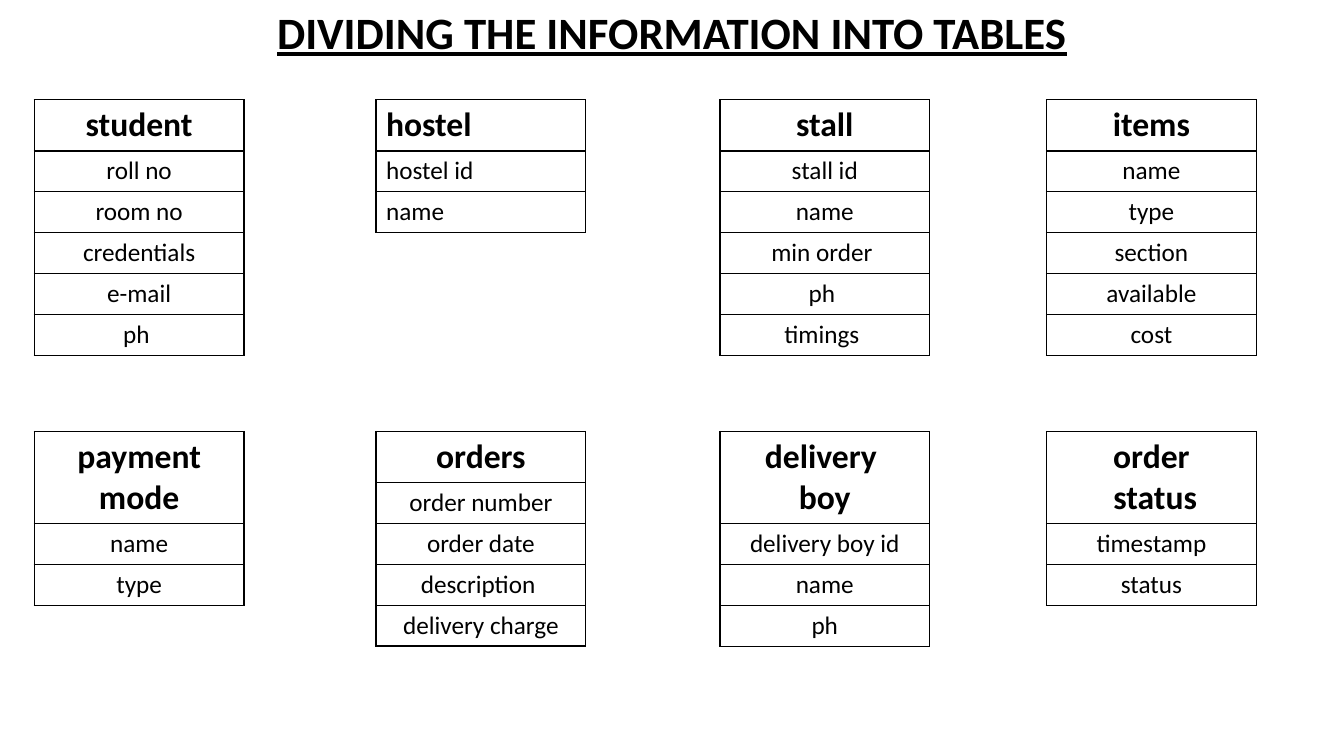
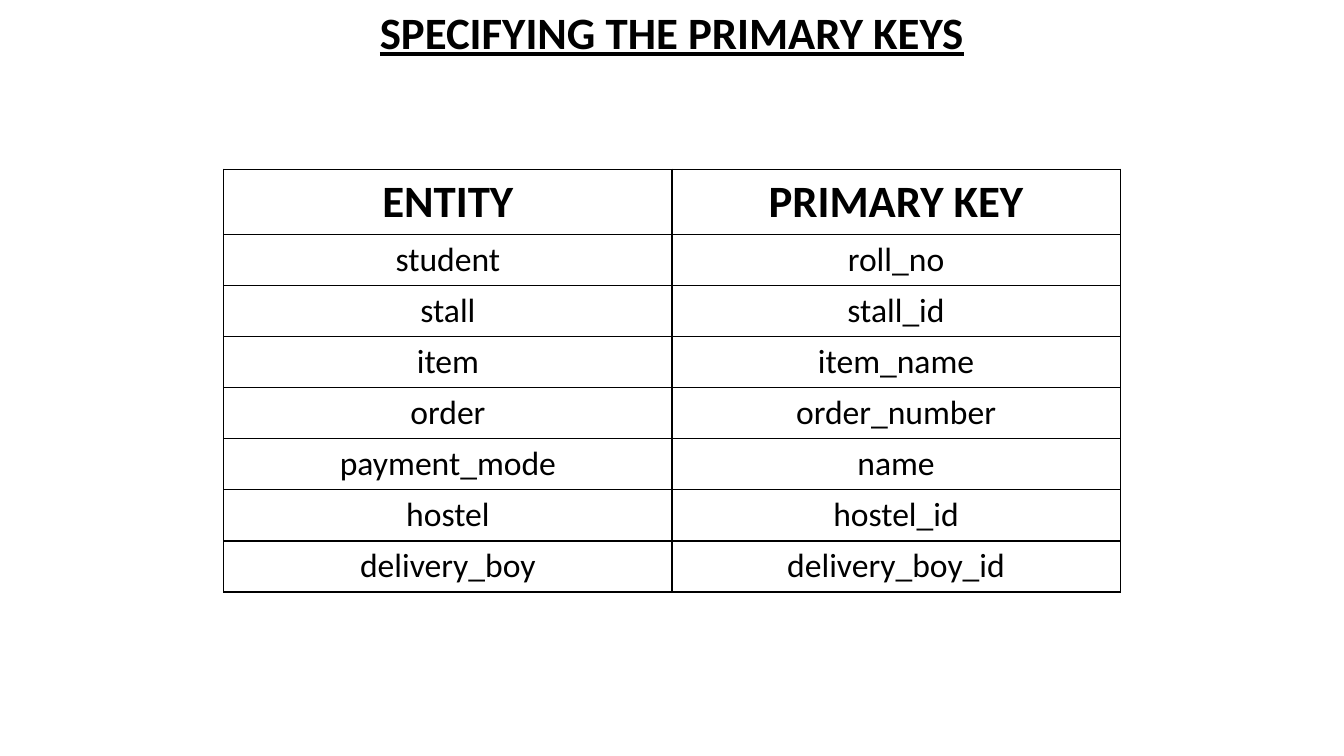
import pptx
import pptx.util
import pptx.dml.color
import pptx.enum.text
import pptx.oxml
import pptx.oxml.ns

Inches = pptx.util.Inches
ALIGN = pptx.enum.text.PP_ALIGN
FONT = "Calibri"
BLACK = "000000"
PAGE_WIDTH, PAGE_HEIGHT = 13.33, 7.5
TITLE_HEIGHT = 0.64
CARD_WIDTH = 2.08
CARD_LEFTS = (0.34, 3.73, 7.14, 10.38)
CARD_TOPS = (0.99, 4.28)

CARD_ROWS = (
    (
        ("student", "roll no", "room no", "credentials", "e-mail", "ph "),
        ("hostel", "hostel id", "name"),
        ("stall", "stall id", "name", "min order ", "ph ", "timings "),
        ("items", "name", "type", "section", "available", "cost"),
    ),
    (
        ("payment mode", "name", "type"),
        ("orders", "order number", "order date", "description ", "delivery charge"),
        ("delivery \nboy", "delivery boy id", "name", "ph"),
        ("order\n status", "timestamp", "status"),
    ),
)
LEFT_ALIGNED = {"hostel"}
TWO_LINE_HEADERS = {"payment mode", "delivery \nboy", "order\n status"}

KEY_ROWS = (
    ("ENTITY", "PRIMARY KEY"),
    ("student", "roll_no"),
    ("stall", "stall_id"),
    ("item", "item_name"),
    ("order", "order_number"),
    ("payment_mode", "name"),
    ("hostel", "hostel_id"),
    ("delivery_boy", "delivery_boy_id"),
)


def colour(value):
    return pptx.dml.color.RGBColor.from_string(value)


def write_text(frame, text, size, bold=False, underline=False, align=ALIGN.CENTER):
    for index, line in enumerate(text.split("\n")):
        para = frame.add_paragraph() if index else frame.paragraphs[0]
        para.alignment = align
        span = para.add_run()
        span.text = line
        span.font.name = FONT
        span.font.size = pptx.util.Pt(size)
        span.font.bold = bold
        span.font.underline = underline
        span.font.color.rgb = colour(BLACK)


def add_borders(cell):
    properties = cell._tc.get_or_add_tcPr()
    for index, side in enumerate(("lnL", "lnR", "lnT", "lnB")):
        border = pptx.oxml.parse_xml(
            f'<a:{side} {pptx.oxml.ns.nsdecls("a")} w="12700">'
            f'<a:solidFill><a:srgbClr val="{BLACK}"/></a:solidFill></a:{side}>'
        )
        properties.insert(index, border)


def add_page(deck, title, title_width):
    page = deck.slides.add_slide(deck.slide_layouts[5])
    box = page.shapes.title
    box.left, box.top = Inches((PAGE_WIDTH - title_width) / 2), 0
    box.width, box.height = Inches(title_width), Inches(TITLE_HEIGHT)
    frame = box.text_frame
    frame.auto_size = pptx.enum.text.MSO_AUTO_SIZE.NONE
    frame.word_wrap = False
    frame.vertical_anchor = pptx.enum.text.MSO_ANCHOR.TOP
    write_text(frame, title, 32, bold=True, underline=True)
    return page


def add_grid(page, rows, left, top, width, header_size, body_size,
             header_height, row_height, align=ALIGN.CENTER):
    columns = len(rows[0])
    height = header_height + row_height * (len(rows) - 1)
    table = page.shapes.add_table(
        len(rows), columns, Inches(left), Inches(top), Inches(width), Inches(height)
    ).table
    table.first_row = False
    table.horz_banding = False
    for row_index, values in enumerate(rows):
        header = row_index == 0
        table.rows[row_index].height = Inches(header_height if header else row_height)
        for column_index, value in enumerate(values):
            cell = table.cell(row_index, column_index)
            cell.fill.background()
            add_borders(cell)
            write_text(cell.text_frame, value, header_size if header else body_size,
                       bold=header, align=align)


def add_card(page, fields, left, top):
    name = fields[0]
    add_grid(page, [(field,) for field in fields], left, top, CARD_WIDTH, 24, 18,
             header_height=0.9 if name in TWO_LINE_HEADERS else 0.5, row_height=0.4,
             align=ALIGN.LEFT if name in LEFT_ALIGNED else ALIGN.CENTER)


def build_tables_page(deck):
    page = add_page(deck, "DIVIDING THE INFORMATION INTO TABLES", 8.05)
    for top, cards in zip(CARD_TOPS, CARD_ROWS):
        for left, fields in zip(CARD_LEFTS, cards):
            add_card(page, fields, left, top)


def build_keys_page(deck):
    page = add_page(deck, "SPECIFYING THE PRIMARY KEYS", 6.01)
    add_grid(page, KEY_ROWS, 2.22, 1.68, 8.89, 32, 24,
             header_height=0.64, row_height=0.5)


def main():
    deck = pptx.Presentation()
    deck.slide_width, deck.slide_height = Inches(PAGE_WIDTH), Inches(PAGE_HEIGHT)
    build_tables_page(deck)
    build_keys_page(deck)
    deck.save("out.pptx")


if __name__ == "__main__":
    main()
